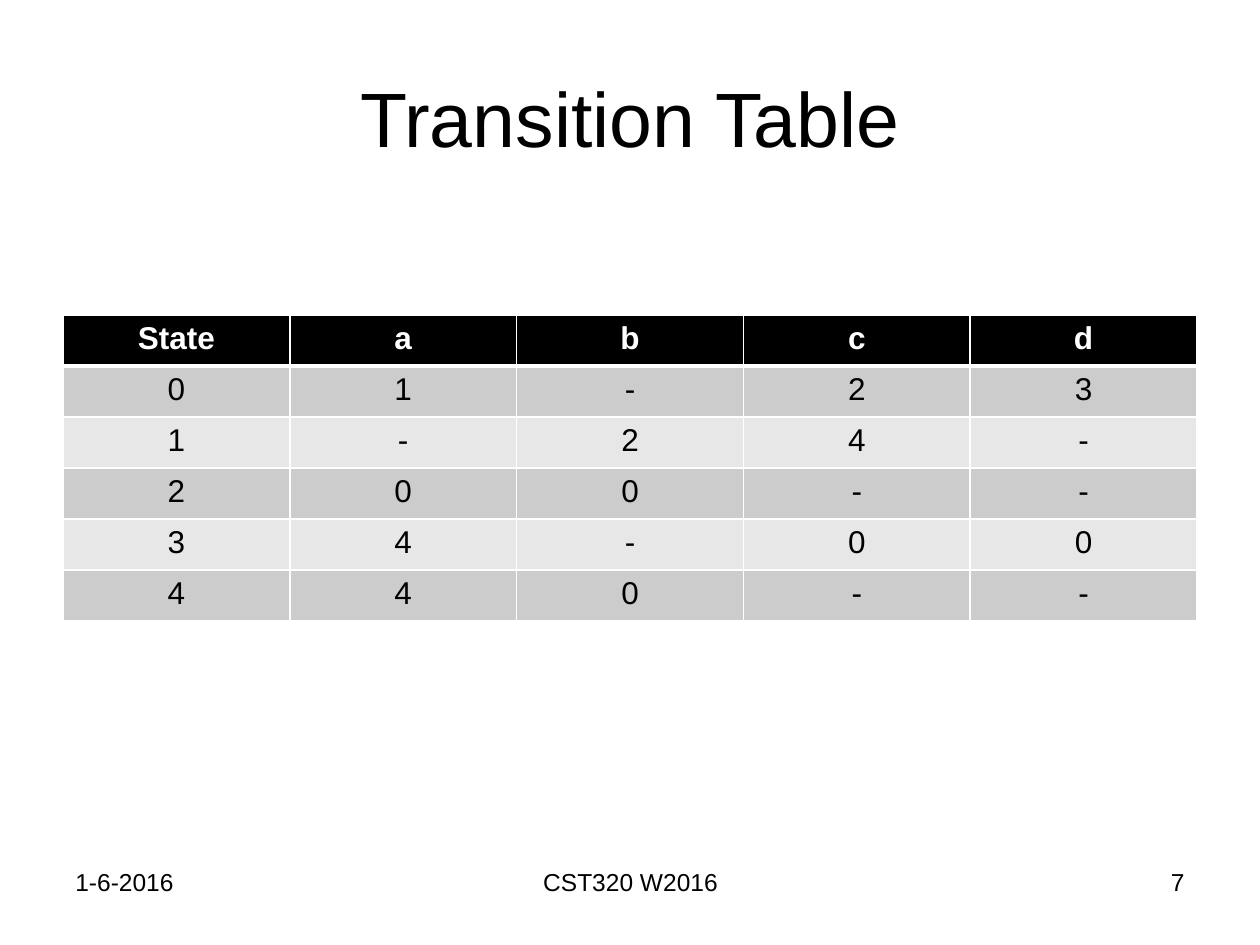
"""Build the Transition Table slide."""
from lxml.etree import SubElement
from pptx import Presentation
from pptx.dml.color import RGBColor
from pptx.enum.text import MSO_ANCHOR, PP_ALIGN
from pptx.oxml.ns import qn
from pptx.util import Inches, Pt

BLACK = RGBColor(0x00, 0x00, 0x00)
WHITE = RGBColor(0xFF, 0xFF, 0xFF)
DARK_BAND = RGBColor(0xCC, 0xCC, 0xCC)
LIGHT_BAND = RGBColor(0xE7, 0xE7, 0xE7)


def write(frame, text, size=18, color=BLACK, bold=False, align=PP_ALIGN.CENTER):
    paragraph = frame.paragraphs[0]
    paragraph.alignment = align
    span = paragraph.add_run()
    span.text = text
    span.font.name = "Arial"
    span.font.size = Pt(size)
    span.font.bold = bold
    span.font.color.rgb = color


def set_borders(cell, **widths):
    properties = cell._tc.get_or_add_tcPr()
    for position, (side, width) in enumerate(widths.items()):
        line = SubElement(properties, qn(f"a:ln{side}"), w=str(Pt(width)))
        fill = SubElement(line, qn("a:solidFill"))
        SubElement(fill, qn("a:srgbClr"), val=str(WHITE))
        properties.insert(position, line)


deck = Presentation()
deck.slide_width = Inches(10)
deck.slide_height = Inches(7.5)
page = deck.slides.add_slide(deck.slide_layouts[5])

title = page.shapes.title
title.left, title.top = Inches(0.5), Inches(0.3)
title.width, title.height = Inches(9), Inches(1.25)
title.text_frame.vertical_anchor = MSO_ANCHOR.MIDDLE
write(title.text_frame, "Transition Table", size=44)

transitions = [
    ["State", "a", "b", "c", "d"],
    ["0", "1", "-", "2", "3"],
    ["1", "-", "2", "4", "-"],
    ["2", "0", "0", "-", "-"],
    ["3", "4", "-", "0", "0"],
    ["4", "4", "0", "-", "-"],
]
table = page.shapes.add_table(
    len(transitions), len(transitions[0]),
    Inches(0.5), Inches(2.5), Inches(9), Inches(2.43),
).table
for row, values in enumerate(transitions):
    header = row == 0
    band = BLACK if header else DARK_BAND if row % 2 else LIGHT_BAND
    for column, value in enumerate(values):
        cell = table.cell(row, column)
        cell.fill.solid()
        cell.fill.fore_color.rgb = band
        write(cell.text_frame, value, color=WHITE if header else BLACK, bold=header)
        set_borders(cell, L=1, R=1, T=3 if row == 1 else 1, B=3 if header else 1)

footers = [
    ("1-6-2016", 0.5, 2.33, PP_ALIGN.LEFT),
    ("CST320 W2016", 3.42, 3.17, PP_ALIGN.CENTER),
    ("7", 7.17, 2.33, PP_ALIGN.RIGHT),
]
for text, left, width, align in footers:
    box = page.shapes.add_textbox(Inches(left), Inches(6.83), Inches(width), Inches(0.52))
    box.text_frame.word_wrap = True
    write(box.text_frame, text, size=14, align=align)

deck.save("out.pptx")
